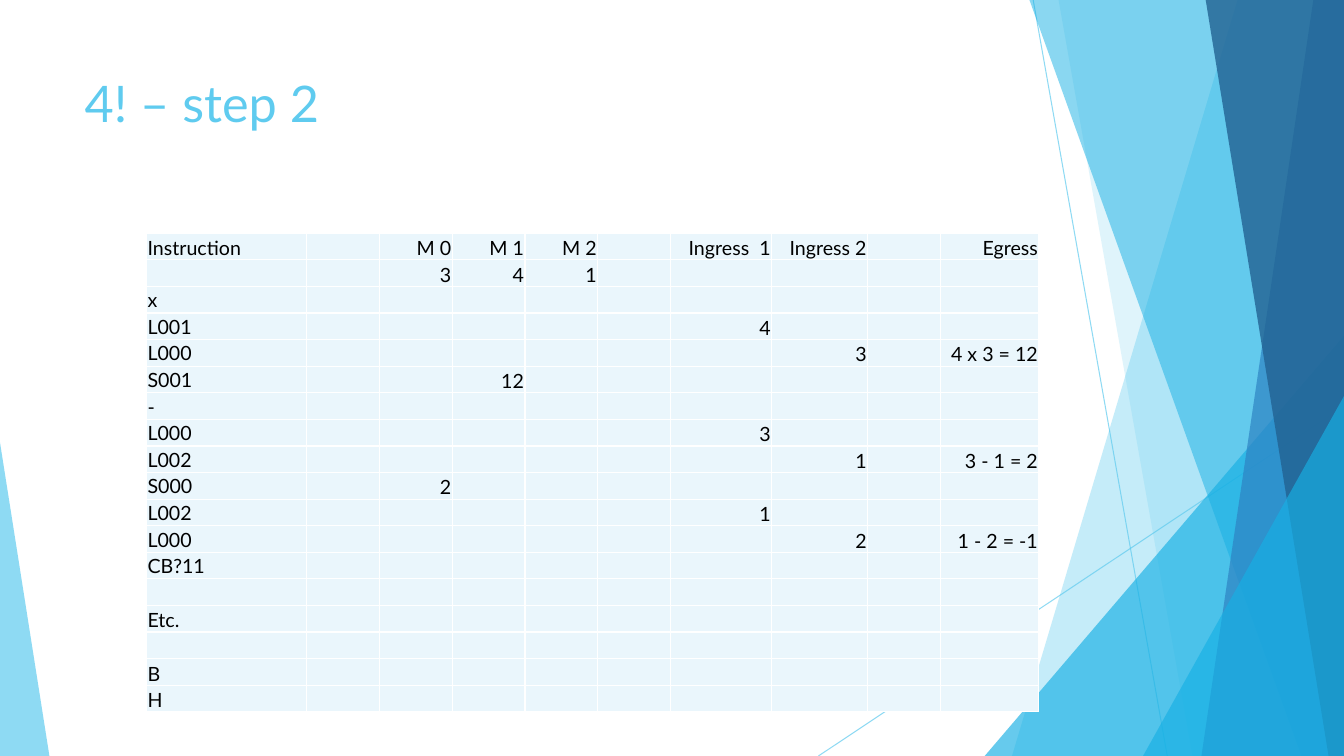
from lxml.etree import SubElement
from pptx import Presentation
from pptx.dml.color import RGBColor
from pptx.enum.shapes import MSO_CONNECTOR, MSO_SHAPE
from pptx.enum.text import MSO_ANCHOR, PP_ALIGN
from pptx.oxml.ns import qn
from pptx.util import Pt

TITLE = "4! – step 2"
FONT = "Lato"
COLORS = {
    "sky": "5FCBEF", "cyan": "17B0E4", "blue": "2E83C3", "navy": "226292",
    "cell": "EAF6FC", "white": "FFFFFF", "black": "000000",
}

# Column numbers of the trace table
M0, M1, M2, IN1, IN2, OUT = 2, 3, 4, 6, 7, 9
COL_WIDTHS = [114.3, 52, 52, 52, 52, 52, 72.3, 68.5, 52, 70.4]
ROW_HEIGHT = 19
TRACE = [
    ("Instruction", {M0: "M 0", M1: "M 1", M2: "M 2",
                     IN1: "Ingress  1", IN2: "Ingress 2", OUT: "Egress"}),
    ("", {M0: "3", M1: "4", M2: "1"}),
    ("x", {}),
    ("L001", {IN1: "4"}),
    ("L000", {IN2: "3", OUT: "4 x 3 = 12"}),
    ("S001", {M1: "12"}),
    ("-", {}),
    ("L000", {IN1: "3"}),
    ("L002", {IN2: "1", OUT: "3 - 1 = 2"}),
    ("S000", {M0: "2"}),
    ("L002", {IN1: "1"}),
    ("L000", {IN2: "2", OUT: "1 - 2 = -1"}),
    ("CB?11", {}),
    ("", {}),
    ("Etc.", {}),
    ("", {}),
    ("B", {}),
    ("H", {}),
]
PROGRAM_ROWS = range(2, 13)  # instructions centred vertically

WIDTH, HEIGHT, BLEED = 960, 540, -0.67
RAYS = [((738, 0), (833.8, HEIGHT)), ((WIDTH, 290.2), (584.6, HEIGHT))]
# Bands reach the right edge: x at top, x at bottom, colour, opacity %
# Triangles stand on the bottom edge: left, top, width, peak, colour, opacity %
FACETS = [
    ("band", 884.2, 722.9, "sky", 36),
    ("band", 756, 851.8, "sky", 20),
    ("triangle", 703.4, 239.8, 256.6, 1, "cyan", 66),
    ("band", 735.1, 929.5, "cyan", 50),
    ("band", 938.2, 858.2, "blue", 70),
    ("band", 861.1, 949, "navy", 80),
    ("triangle", 816.5, 283, 143.5, 1, "cyan", 66),
    ("triangle", 0, 316.1, 35.3, 0, "sky", 70),
]


def rgb(name):
    return RGBColor.from_string(COLORS[name])


def set_opacity(parent, percent):
    for clr in parent.iter(qn("a:srgbClr")):
        SubElement(clr, qn("a:alpha"), val=str(percent * 1000))


def add_ray(slide, start, end):
    line = slide.shapes.add_connector(
        MSO_CONNECTOR.STRAIGHT, *(Pt(v) for v in start + end))
    line.line.color.rgb = rgb("sky")
    line.line.width = Pt(0.75)
    sp_pr = line._element.spPr
    set_opacity(sp_pr, 70)
    SubElement(sp_pr, qn("a:effectLst"))


def add_facet(slide, kind, *args):
    *geometry, color, opacity = args
    if kind == "band":
        top_x, bottom_x = geometry
        fb = slide.shapes.build_freeform(Pt(top_x), Pt(BLEED))
        fb.add_line_segments([(Pt(x), Pt(y)) for x, y in (
            (WIDTH, BLEED), (WIDTH, HEIGHT), (bottom_x, HEIGHT))])
        sp = fb.convert_to_shape()
    else:
        left, top, width, peak = geometry
        sp = slide.shapes.add_shape(MSO_SHAPE.ISOSCELES_TRIANGLE, Pt(left), Pt(top),
                                    Pt(width), Pt(HEIGHT - top))
        sp.adjustments[0] = peak
    sp.shadow.inherit = False
    sp.fill.solid()
    sp.fill.fore_color.rgb = rgb(color)
    sp.line.fill.background()
    set_opacity(sp._element.spPr, opacity)


def format_run(r, size, color):
    r.font.name = FONT
    r.font.size = Pt(size)
    r.font.color.rgb = rgb(color)


def add_title(slide):
    tf = slide.shapes.add_textbox(Pt(53.3), Pt(48), Pt(677), Pt(62.6)).text_frame
    tf.word_wrap = True
    tf.vertical_anchor = MSO_ANCHOR.TOP
    tf.text = TITLE
    format_run(tf.paragraphs[0].runs[0], 36, "sky")


def style_cell(cell):
    """Give a cell white borders, a pale fill and tight margins."""
    tc_pr = cell._tc.get_or_add_tcPr()
    for side in ("a:lnL", "a:lnR", "a:lnT", "a:lnB"):
        ln = SubElement(tc_pr, qn(side), w=str(Pt(1)))
        fill = SubElement(ln, qn("a:solidFill"))
        SubElement(fill, qn("a:srgbClr"), val=COLORS["white"])
    cell.fill.solid()
    cell.fill.fore_color.rgb = rgb("cell")
    cell.margin_left = cell.margin_top = cell.margin_right = Pt(0.7)
    cell.margin_bottom = 0


def add_trace_table(slide):
    table = slide.shapes.add_table(
        len(TRACE), len(COL_WIDTHS), Pt(104.7), Pt(166.6),
        Pt(sum(COL_WIDTHS)), Pt(ROW_HEIGHT * len(TRACE))).table
    table.first_row = table.horz_banding = False
    for col, width in zip(table.columns, COL_WIDTHS):
        col.width = Pt(width)
    for i, (instruction, values) in enumerate(TRACE):
        table.rows[i].height = Pt(ROW_HEIGHT)
        for j in range(len(COL_WIDTHS)):
            cell = table.cell(i, j)
            style_cell(cell)
            centred = j == 0 and i in PROGRAM_ROWS
            cell.vertical_anchor = MSO_ANCHOR.MIDDLE if centred else MSO_ANCHOR.BOTTOM
            p = cell.text_frame.paragraphs[0]
            p.text = values.get(j, "") if j else instruction
            p.alignment = PP_ALIGN.RIGHT if j else PP_ALIGN.LEFT
            for r in p.runs:
                format_run(r, 14, "black")
            if not p.runs:
                SubElement(p._p, qn("a:endParaRPr"), sz="1400")


def main():
    prs = Presentation()
    prs.slide_width, prs.slide_height = Pt(WIDTH), Pt(HEIGHT)
    slide = prs.slides.add_slide(prs.slide_layouts[6])
    for start, end in RAYS:
        add_ray(slide, start, end)
    for facet in FACETS:
        add_facet(slide, *facet)
    add_title(slide)
    add_trace_table(slide)
    prs.save("out.pptx")


if __name__ == "__main__":
    main()
